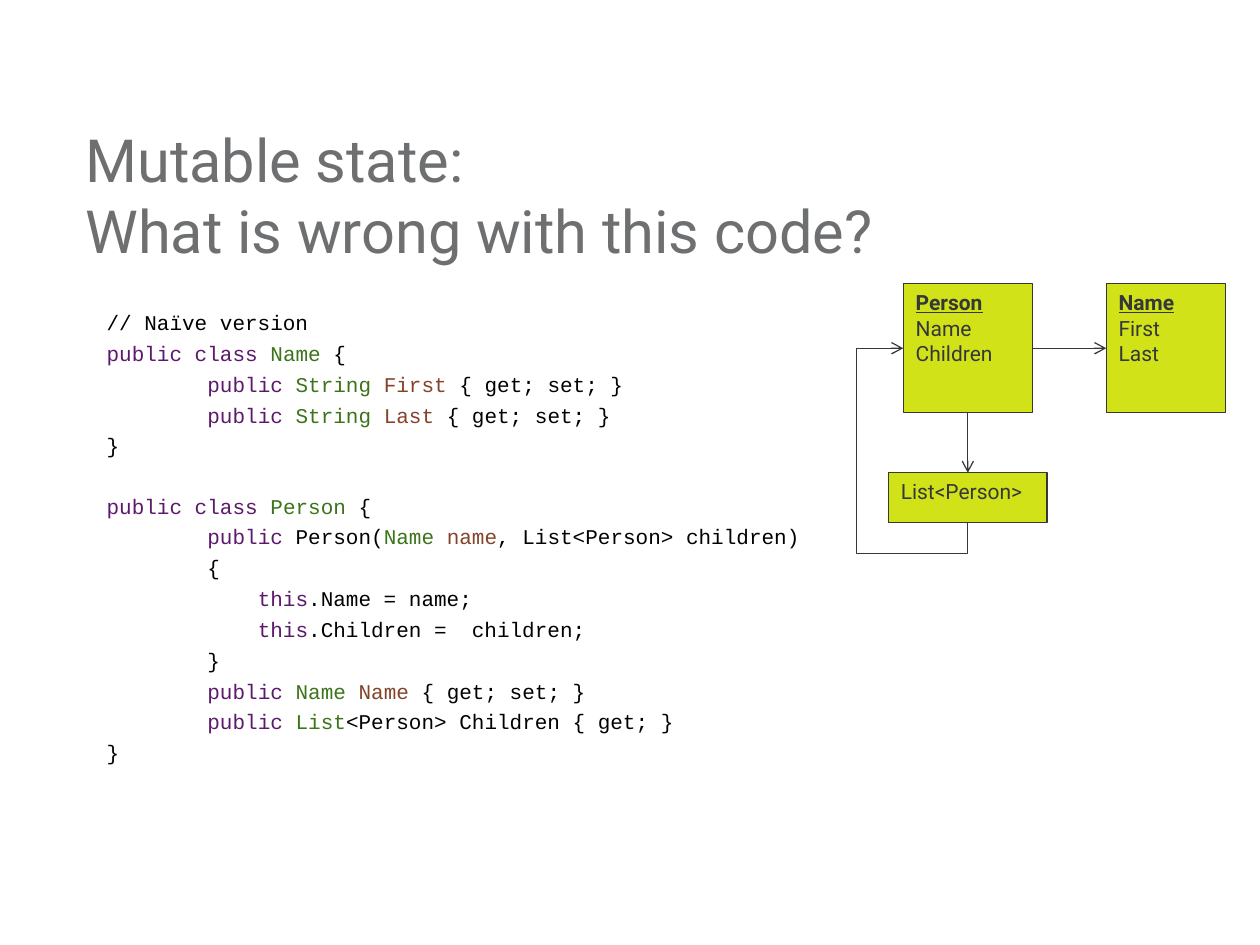
from lxml import etree
from pptx import Presentation
from pptx.dml.color import RGBColor
from pptx.enum.shapes import MSO_CONNECTOR as LINE, MSO_SHAPE as SHAPE
from pptx.enum.text import MSO_ANCHOR as ANCHOR, MSO_AUTO_SIZE as AUTO, PP_ALIGN as ALIGN
from pptx.oxml.ns import qn
from pptx.util import Cm, Pt

COLOURS = {"title": "6D6F71", "plain": "000000", "keyword": "5D196C", "type": "3B741A",
           "member": "834429", "box": "D1E318", "ink": "363738"}
TITLE = {"name": "Roboto", "size": Pt(34), "bold": False}
CODE = {"name": "Courier New", "size": Pt(12)}
LABEL = {"name": "Roboto", "size": Pt(12)}
HEADING = LABEL | {"bold": True, "underline": True}

CHAR_WIDTH = Pt(7.2)
LINE_GAP, BLANK_LINE_GAP = Pt(3.2), Pt(20)
GET_SET = (" { get; set; }", "plain")
PUBLIC = ("public ", "keyword")


def class_line(name):
    return 0, [("public class ", "keyword"), (name, "type"), (" {", "plain")]


def property_line(kind, name):
    return 8, [PUBLIC, (kind + " ", "type"), (name, "member"), GET_SET]


def assignment(rest):
    return 12, [("this", "keyword"), (rest, "plain")]


def plain_line(indent, text):
    return indent, [(text, "plain")]


# Each block is a list of lines; a line is its indent in characters and its coloured spans.
CODE_BLOCKS = [
    [
        plain_line(0, "// Naïve version"),
        class_line("Name"),
        property_line("String", "First"),
        property_line("String", "Last"),
        plain_line(0, "}"),
    ],
    [
        class_line("Person"),
        (8, [("public", "keyword"), (" Person(", "plain"), ("Name ", "type"),
             ("name", "member"), (", List<Person> children)", "plain")]),
        plain_line(8, "{"),
        assignment(".Name = name;"),
        assignment(".Children =  children;"),
        plain_line(8, "}"),
        property_line("Name", "Name"),
        (8, [PUBLIC, ("List", "type"), ("<Person> Children { get; }", "plain")]),
        plain_line(0, "}"),
    ],
]


def colour(key):
    return RGBColor.from_string(COLOURS[key])


def set_all(target, values):
    for name, value in values.items():
        setattr(target, name, value)


def add_span(para, text, font, key):
    span = para.add_run()
    span.text = text
    set_all(span.font, font)
    span.font.color.rgb = colour(key)


def add_title(page, left, top, width, height):
    title = page.shapes.title
    set_all(title, {"left": left, "top": top, "width": width, "height": height})
    frame = title.text_frame
    set_all(frame, {"word_wrap": True, "auto_size": AUTO.NONE, "vertical_anchor": ANCHOR.MIDDLE})
    para = frame.paragraphs[0]
    para.alignment = ALIGN.LEFT
    add_span(para, "Mutable state:", TITLE, "title")
    para.add_line_break()
    add_span(para, "What is wrong with this code?", TITLE, "title")


def add_code(page, left, top, width, height):
    frame = page.shapes.add_textbox(left, top, width, height).text_frame
    frame.word_wrap = True
    para = frame.paragraphs[0]
    for block in CODE_BLOCKS:
        for indent, spans in block:
            if para.runs:
                para = frame.add_paragraph()
            para.space_after = LINE_GAP
            para._p.get_or_add_pPr().set("marL", str(indent * CHAR_WIDTH))
            for text, key in spans:
                add_span(para, text, CODE, key)
        para.space_after = BLANK_LINE_GAP


def add_class_box(page, left, top, width, height, lines):
    """Add a rectangle listing (text, font) lines from its top left."""
    box = page.shapes.add_shape(SHAPE.RECTANGLE, left, top, width, height)
    box.shadow.inherit = False
    box.fill.solid()
    box.fill.fore_color.rgb = colour("box")
    box.line.color.rgb = colour("ink")
    box.line.width = Pt(0.75)
    frame = box.text_frame
    set_all(frame, {"word_wrap": True, "vertical_anchor": ANCHOR.TOP})
    for number, (text, font) in enumerate(lines):
        para = frame.add_paragraph() if number else frame.paragraphs[0]
        para.alignment = ALIGN.LEFT
        add_span(para, text, font, "ink")
    return box


def style_arrow(arrow):
    arrow.line.color.rgb = colour("ink")
    arrow.line.width = Pt(0.75)
    etree.SubElement(arrow.line._get_or_add_ln(), qn("a:tailEnd"), type="arrow")
    etree.SubElement(arrow._element.spPr, qn("a:effectLst"))


def join(page, source, source_site, target, target_site):
    arrow = page.shapes.add_connector(LINE.STRAIGHT, 0, 0, 0, 0)
    arrow.begin_connect(source, source_site)
    arrow.end_connect(target, target_site)
    style_arrow(arrow)


def add_loop(page, source, target, left, drop):
    """Run from the source's bottom, around by way of left, into the target's left side."""
    start_x, start_y = source.left + source.width // 2, source.top + source.height
    end_x, end_y = target.left, target.top + target.height // 2
    across, rise = start_x - end_x, start_y - end_y
    # The preset runs sideways, so its frame is turned a quarter about the centre.
    x, y = (start_x + end_x - rise) // 2, (start_y + end_y - across) // 2
    arrow = page.shapes.add_connector(LINE.ELBOW, x, y, x + rise, y + across)
    xfrm = arrow._element.spPr.find(qn("a:xfrm"))
    xfrm.set("rot", "5400000")
    xfrm.set("flipH", "1")
    geometry = arrow._element.spPr.find(qn("a:prstGeom"))
    geometry.set("prst", "bentConnector4")
    guides = geometry.find(qn("a:avLst"))
    if guides is None:
        guides = etree.SubElement(geometry, qn("a:avLst"))
    for name, share in (("adj1", -drop / rise), ("adj2", (start_x - left) / across)):
        etree.SubElement(guides, qn("a:gd"), name=name, fmla=f"val {round(share * 100000)}")
    style_arrow(arrow)


def add_diagram(page, left, top):
    side = Cm(2.6)
    name = add_class_box(page, left + Cm(5.03), top, Cm(2.4), side,
                         [("Name", HEADING), ("First", LABEL), ("Last", LABEL)])
    person = add_class_box(page, left + Cm(0.94), top, side, side,
                           [("Person", HEADING), ("Name", LABEL), ("Children", LABEL)])
    people = add_class_box(page, left + Cm(0.64), top + Cm(3.81), Cm(3.2), Cm(1),
                           [("List<Person>", LABEL)])
    join(page, person, 3, name, 1)
    join(page, person, 2, people, 0)
    add_loop(page, people, person, left, Cm(0.63))


def main():
    deck = Presentation()
    set_all(deck, {"slide_width": Cm(25.4), "slide_height": Cm(19.05)})
    page = deck.slides.add_slide(deck.slide_layouts[5])
    add_title(page, Cm(1.47), Cm(2.97), Cm(17.78), Cm(1.9))
    add_code(page, Cm(1.9), Cm(6.12), Cm(21.4), Cm(10.8))
    add_diagram(page, Cm(17.27), Cm(5.72))
    deck.save("out.pptx")


if __name__ == "__main__":
    main()
